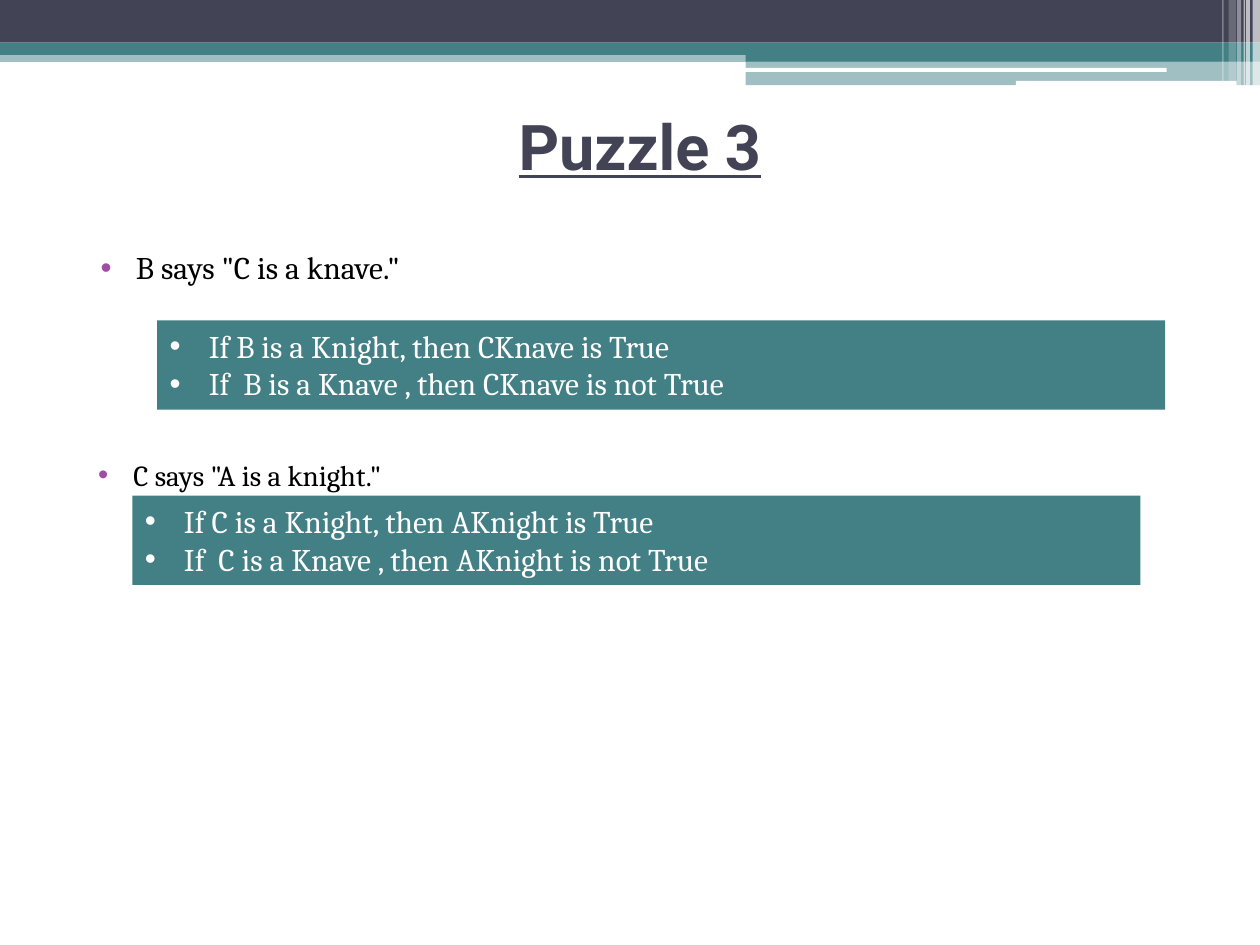
import pptx
import pptx.dml.color
import pptx.enum.shapes
import pptx.enum.text
import pptx.oxml
import pptx.oxml.ns
import pptx.util
import lxml.etree

Cm = pptx.util.Cm
Pt = pptx.util.Pt
qn = pptx.oxml.ns.qn
SHAPES = pptx.enum.shapes.MSO_SHAPE
NAVY, TEAL, WHITE, BLACK, PURPLE = "424456", "438086", "FFFFFF", "000000", "A04DA3"


def rgb(value):
    """Turn a hex string into a colour."""
    return pptx.dml.color.RGBColor.from_string(value)


def add_bullet(para, margin, hang, color=None):
    """Give a paragraph a round bullet and a hanging indent in cm."""
    props = para._p.get_or_add_pPr()
    props.set("marL", str(Cm(margin)))
    props.set("indent", str(-Cm(hang)))
    if color:
        holder = lxml.etree.SubElement(props, qn("a:buClr"))
        lxml.etree.SubElement(holder, qn("a:srgbClr"), val=color)
    lxml.etree.SubElement(props, qn("a:buFont"), typeface="Arial")
    lxml.etree.SubElement(props, qn("a:buChar"), char="•")


deck = pptx.Presentation()
deck.slide_width, deck.slide_height = Cm(25.4), Cm(19.05)
page = deck.slides.add_slide(deck.slide_layouts[6])

# Header bands and stripes: left, top, width, height, colour, opacity in percent
bands = [
    (0, 1.02, 25.4, 0.23, TEAL, 50),
    (0, 0, 25.4, 0.86, NAVY, 100),
    (0, 0.86, 25.4, 0.25, TEAL, 100),
    (15.03, 0.99, 10.37, 0.25, TEAL, 100),
    (15.03, 1.23, 10.37, 0.49, TEAL, 50),
    (15.01, 1.37, 8.51, 0.08, WHITE, 100),
    (20.48, 1.63, 4.45, 0.1, WHITE, 100),
]
stripes = [
    (25.25, 0.15, 1.73, 65),
    (25.12, 0.08, 1.73, 65),
    (25.07, 0.03, 1.73, 60),
    (24.94, 0.08, 1.73, 40),
    (24.77, 0.15, 1.63, 20),
    (24.64, 0.03, 1.63, 30),
]
bands += [(left, 0, width, height, WHITE, opacity) for left, width, height, opacity in stripes]
for left, top, width, height, color, opacity in bands:
    band = page.shapes.add_shape(SHAPES.RECTANGLE, Cm(left), Cm(top), Cm(width), Cm(height))
    band.shadow.inherit = False
    band.fill.solid()
    band.fill.fore_color.rgb = rgb(color)
    band.line.fill.background()
    if opacity < 100:
        fill_color = band.fill._xPr.find(qn("a:solidFill"))[0]
        lxml.etree.SubElement(fill_color, qn("a:alpha"), val=str(opacity * 1000))

title = page.shapes.add_textbox(Cm(1.47), Cm(0.84), Cm(22.86), Cm(2.97))
title.text_frame.word_wrap = True
title.text_frame.vertical_anchor = pptx.enum.text.MSO_ANCHOR.BOTTOM
para = title.text_frame.paragraphs[0]
para.alignment = pptx.enum.text.PP_ALIGN.CENTER
span = para.add_run()
span.text = "Puzzle 3"
title_format = {"name": "Roboto", "size": Pt(36), "bold": True, "underline": True}
for key, value in title_format.items():
    setattr(span.font, key, value)
span.font.color.rgb = rgb(NAVY)

# Statements: left, top, height, text size, wording
statements = [
    (1.47, 4.88, 1.12, 18, 'B says "C is a knave."'),
    (1.42, 9.09, 0.84, 16.6, 'C says "A is a knight."'),
]
for left, top, height, size, wording in statements:
    box = page.shapes.add_textbox(Cm(left), Cm(top), Cm(22.86), Cm(height))
    box.text_frame.word_wrap = True
    para = box.text_frame.paragraphs[0]
    para.space_before = Pt(3)
    add_bullet(para, 1.02, 0.71, PURPLE)
    span = para.add_run()
    span.text = wording
    span.font.name, span.font.size = "Cambria", Pt(size)
    span.font.color.rgb = rgb(BLACK)

# Conclusions: left, top, lines
conclusions = [
    (3.17, 6.46, ["If B is a Knight, then CKnave is True",
                  "If  B is a Knave , then CKnave is not True"]),
    (2.67, 9.99, ["If C is a Knight, then AKnight is True",
                  "If  C is a Knave , then AKnight is not True"]),
]
for left, top, lines in conclusions:
    box = page.shapes.add_shape(SHAPES.RECTANGLE, Cm(left), Cm(top), Cm(20.32), Cm(1.8))
    box.shadow.inherit = False
    box.fill.solid()
    box.fill.fore_color.rgb = rgb(TEAL)
    box.line.fill.background()
    frame = box.text_frame
    frame.word_wrap = True
    frame.vertical_anchor = pptx.enum.text.MSO_ANCHOR.TOP
    for number, line in enumerate(lines):
        para = frame.add_paragraph() if number else frame.paragraphs[0]
        para.alignment = pptx.enum.text.PP_ALIGN.LEFT
        add_bullet(para, 0.79, 0.79)
        span = para.add_run()
        span.text = line
        span.font.name, span.font.size = "Cambria", Pt(18)
        span.font.color.rgb = rgb(WHITE)

deck.save("out.pptx")
